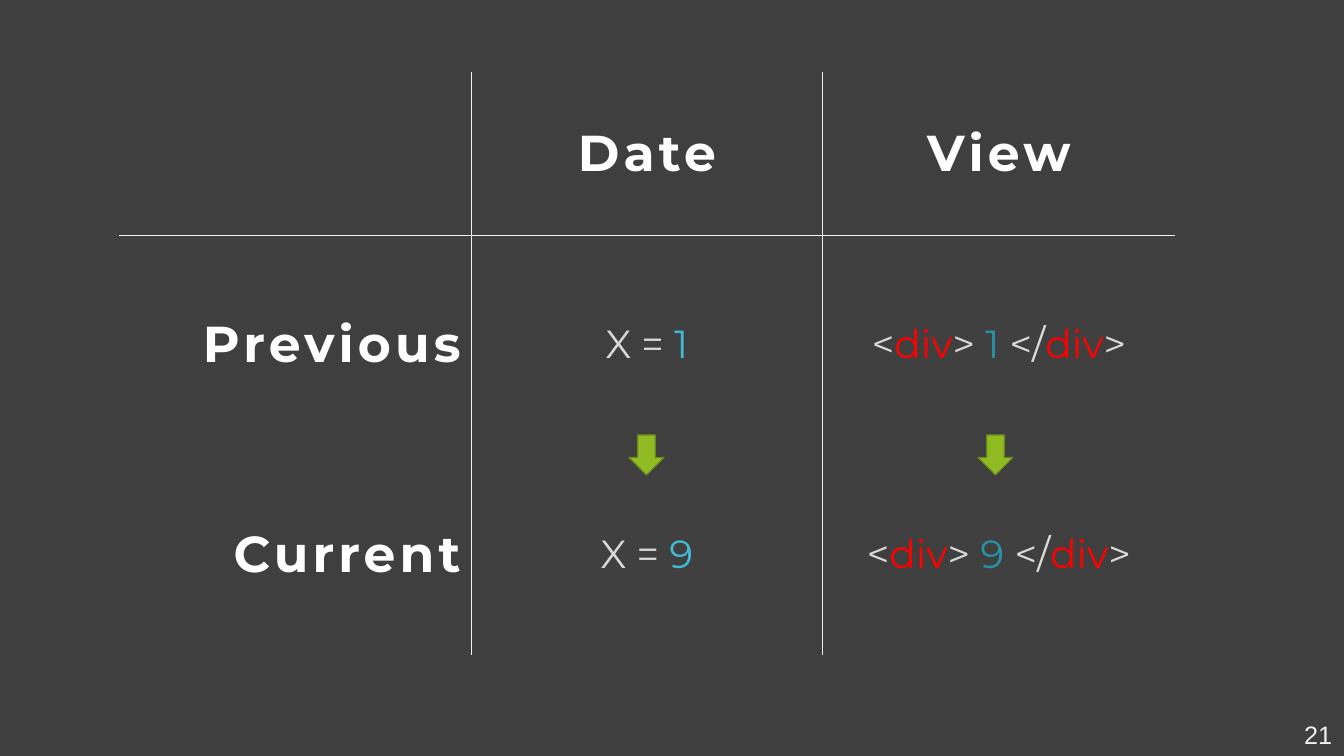
from lxml import etree
from pptx import Presentation
from pptx.dml.color import RGBColor
from pptx.enum.shapes import MSO_SHAPE
from pptx.enum.text import MSO_ANCHOR, PP_ALIGN
from pptx.oxml.ns import qn
from pptx.util import Emu, Pt

CENTER, RIGHT = PP_ALIGN.CENTER, PP_ALIGN.RIGHT
MIDDLE = MSO_ANCHOR.MIDDLE
DOWN_ARROW = MSO_SHAPE.DOWN_ARROW

DARK = RGBColor(0x3F, 0x3F, 0x3F)
WHITE = RGBColor(0xFF, 0xFF, 0xFF)
RULE = RGBColor(0xF2, 0xF2, 0xF2)
GREY = RGBColor(0xD9, 0xD9, 0xD9)
RED = RGBColor(0xFF, 0x00, 0x00)
CYAN = RGBColor(0x40, 0xBA, 0xD2)
TEAL = RGBColor(0x27, 0x91, 0xA6)
GREEN = RGBColor(0x90, 0xBB, 0x23)
DARK_GREEN = RGBColor(0x6B, 0x8A, 0x1A)

HEADING = {"name": "Montserrat", "size": Pt(36), "bold": True}
CODE = {"name": "Montserrat", "size": Pt(28), "bold": False}
NUMBER = {"name": "Arial", "size": Pt(18)}
HEADING_SPACING = 300  # hundredths of a point


def px(n):
    return Emu(round(n * 914400 / 100.8))


class Deck:
    def __init__(self, width, height):
        self.prs = Presentation()
        self.prs.slide_width, self.prs.slide_height = px(width), px(height)

    def add_slide(self, color):
        self.s = self.prs.slides.add_slide(self.prs.slide_layouts[6])
        fill = self.s.background.fill
        fill.solid()
        fill.fore_color.rgb = color

    def add_runs(self, p, runs, style, align, spacing=0):
        p.alignment = align
        for text, color in runs:
            r = p.add_run()
            r.text = text
            for key, value in style.items():
                setattr(r.font, key, value)
            r.font.color.rgb = color
            if spacing:
                r._r.get_or_add_rPr().set("spc", str(spacing))

    def text(self, x, y, w, h, runs, style, align):
        tf = self.s.shapes.add_textbox(px(x), px(y), px(w), px(h)).text_frame
        tf.word_wrap = True
        self.add_runs(tf.paragraphs[0], runs, style, align)

    def arrow(self, x, y, w, h):
        sp = self.s.shapes.add_shape(DOWN_ARROW, px(x), px(y), px(w), px(h))
        sp.shadow.inherit = False
        sp.fill.solid()
        sp.fill.fore_color.rgb = GREEN
        sp.line.color.rgb = DARK_GREEN
        sp.line.width = Pt(0.85)

    def borders(self, cell, edges):
        """Rule the given edges (letters of "LRTB") and clear the others."""
        tc_pr = cell._tc.get_or_add_tcPr()
        for edge in "LRTB":
            ln = etree.SubElement(tc_pr, qn(f"a:ln{edge}"), w=str(Pt(0.75)))
            if edge in edges:
                fill = etree.SubElement(ln, qn("a:solidFill"))
                etree.SubElement(fill, qn("a:srgbClr"), val=str(RULE))
            else:
                etree.SubElement(ln, qn("a:noFill"))

    def table(self, x, y, col_widths, row_heights, rows):
        """Draw a table ruled below its first row and between its columns."""
        frame = self.s.shapes.add_table(
            len(row_heights), len(col_widths), px(x), px(y),
            px(sum(col_widths)), px(sum(row_heights)))
        table = frame.table
        table.first_row = table.horz_banding = False
        for col, width in zip(table.columns, col_widths):
            col.width = px(width)
        for row, height in zip(table.rows, row_heights):
            row.height = px(height)
        for i, row in enumerate(rows):
            for j, runs in enumerate(row):
                cell = table.cell(i, j)
                edges = {"L": j > 0, "R": j < len(row) - 1,
                         "T": i == 1, "B": i == 0}
                self.borders(cell, [e for e, ruled in edges.items() if ruled])
                cell.fill.background()
                cell.vertical_anchor = MIDDLE
                heading = i == 0 or j == 0
                self.add_runs(cell.text_frame.paragraphs[0], runs,
                              HEADING if heading else CODE,
                              CENTER if j else RIGHT,
                              HEADING_SPACING if heading else 0)


def state_row(label, value):
    date = [("X = ", GREY), (value, CYAN)]
    view = [("<", GREY), ("div", RED), ("> ", GREY), (value, TEAL),
            (" </", GREY), ("div", RED), (">", GREY)]
    return [[(label, WHITE)], date, view]


def main():
    deck = Deck(1344, 756)
    deck.add_slide(DARK)
    deck.text(1174, 714, 168, 40, [("21", RULE)], NUMBER, RIGHT)
    header = [[], [("Date", WHITE)], [("View", WHITE)]]
    deck.table(119, 72, [352] * 3, [163, 218, 202],
               [header, state_row("Previous", "1"), state_row("Current", "9")])
    for x in (629, 978):
        deck.arrow(x, 435, 35, 40)
    deck.prs.save("out.pptx")


if __name__ == "__main__":
    main()
